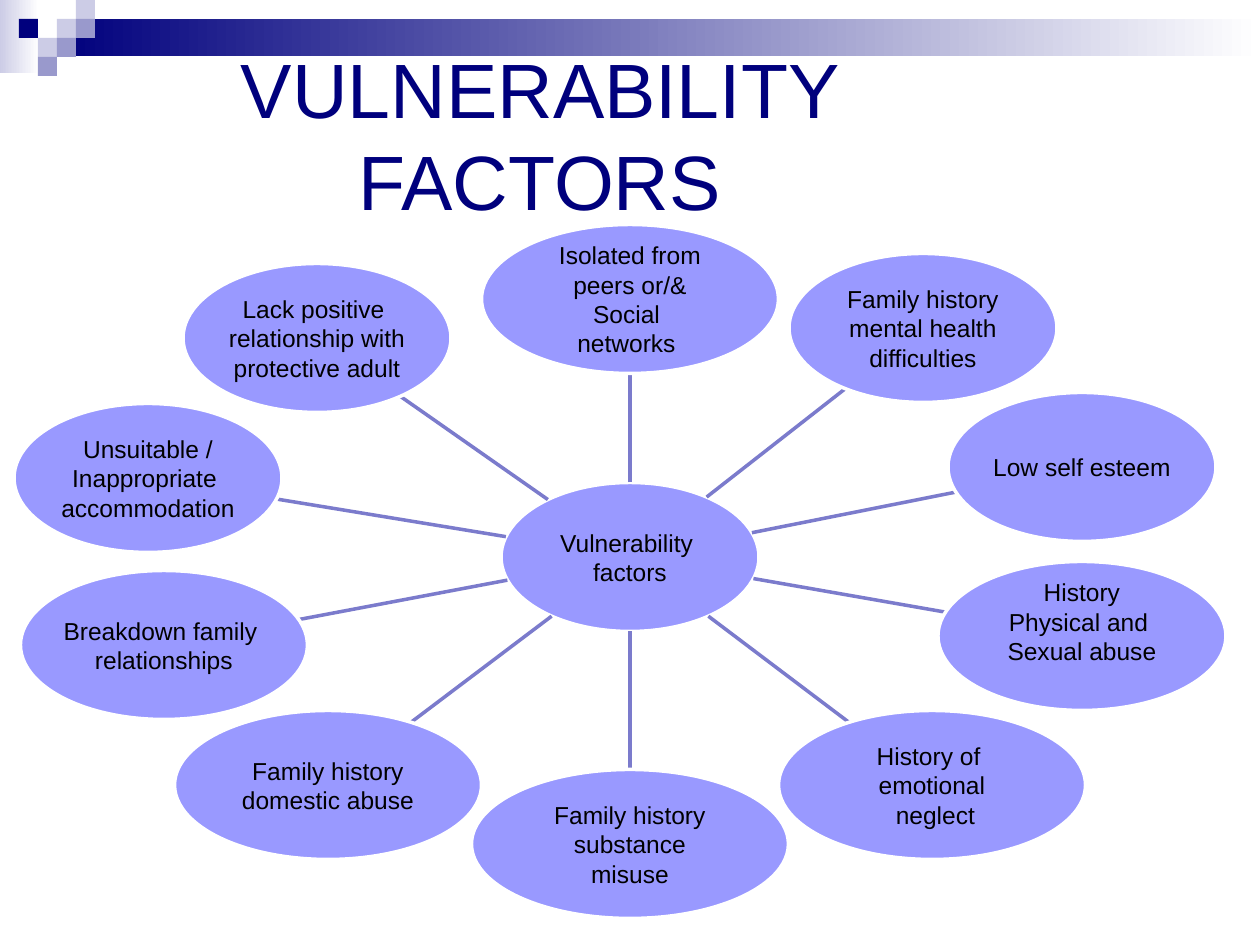
from math import hypot

from pptx import Presentation
from pptx.dml.color import RGBColor
from pptx.enum import shapes as kinds, text as txt
from pptx.oxml.ns import qn
from pptx.util import Emu, Pt
from lxml import etree

PX = 914400 / 126
THEME = {
    "navy": "00007D", "mist": "CCCCE6", "slate": "9999CC", "white": "FFFFFF",
    "oval": "9999FF", "spoke": "7B7BCC", "ink": "000000",
    "font": "Arial", "title": 44, "body": 14, "line": 2,
}


def shade(name):
    return RGBColor.from_string(THEME[name])


def write(frame, lines, size, color):
    """Fill a text frame with centred paragraphs, one run each."""
    frame.word_wrap = True
    frame.vertical_anchor = txt.MSO_ANCHOR.MIDDLE
    for i, line in enumerate(lines):
        para = frame.add_paragraph() if i else frame.paragraphs[0]
        para.alignment = txt.PP_ALIGN.CENTER
        run = para.add_run()
        run.text = line
        run.font.name = THEME["font"]
        run.font.size = Pt(THEME[size])
        run.font.color.rgb = shade(color)


deck = Presentation()
deck.slide_width, deck.slide_height = Emu(round(1260 * PX)), Emu(round(945 * PX))
slide = deck.slides.add_slide(deck.slide_layouts[6])
items = slide.shapes

# Header bands, fading to white
for box, color in [((0, 0, 39, 73), "mist"), ((57, 19, 1203, 37), "navy")]:
    band = items.add_shape(kinds.MSO_SHAPE.RECTANGLE, *[Emu(round(n * PX)) for n in box])
    band.shadow.inherit = False
    band.line.fill.background()
    band.fill.gradient()
    band.fill.gradient_angle = 0
    for stop, tone, place in zip(band.fill.gradient_stops, (color, "white"), (0, 1)):
        stop.color.rgb = shade(tone)
        stop.position = place

# Header tiles: column, row, colour
TILE = 19
tiles = [(3, 1, "mist"), (4, 0, "mist"), (4, 1, "slate"), (2, 2, "mist"),
         (1, 1, "navy"), (3, 2, "slate"), (2, 3, "slate")]
for col, row, color in tiles:
    box = (col * TILE, row * TILE, TILE, TILE)
    tile = items.add_shape(kinds.MSO_SHAPE.RECTANGLE, *[Emu(round(n * PX)) for n in box])
    tile.shadow.inherit = False
    tile.line.fill.background()
    tile.fill.solid()
    tile.fill.fore_color.rgb = shade(color)

title = items.add_textbox(*[Emu(round(n * PX)) for n in (63, 63, 954, 141)])
write(title.text_frame, ["VULNERABILITY FACTORS"], "title", "navy")

# Ovals: centre x, centre y, width, space kept free below the text, lines
HIGH = 149
HUB = (630, 557, 258)
ovals = [
    (*HUB, 1, ["Vulnerability ", "factors"]),
    (630, 299, 297, 1, ["Isolated from peers or/&", "Social ", "networks "]),
    (923, 328, 268, 1, ["Family history", "mental health", "difficulties"]),
    (1082, 467, 268, 1, ["Low self esteem"]),
    (1082, 636, 288, 30, ["History", "Physical and ", "Sexual abuse"]),
    (932, 785, 307, 1, ["History of ", "emotional", " neglect"]),
    (630, 844, 317, 1, ["Family history", "substance", "misuse"]),
    (328, 785, 307, 1, ["Family history", "domestic abuse"]),
    (164, 645, 287, 1, ["Breakdown family ", "relationships"]),
    (148, 478, 268, 1, ["Unsuitable /", "Inappropriate ", "accommodation"]),
    (317, 338, 268, 1, ["Lack positive ", "relationship with", "protective adult"]),
]
for x, y, wide, below, lines in ovals:
    dx, dy = x - HUB[0], y - HUB[1]
    if dx or dy:
        # The spoke runs from rim to rim on the line between both centres
        near = 1 / hypot(2 * dx / HUB[2], 2 * dy / HIGH)
        far = 1 - 1 / hypot(2 * dx / wide, 2 * dy / HIGH)
        ends = [n for t in (near, far) for n in (HUB[0] + t * dx, HUB[1] + t * dy)]
        spoke = items.add_connector(kinds.MSO_CONNECTOR.STRAIGHT,
                                    *[Emu(round(n * PX)) for n in ends])
        spoke.line.color.rgb = shade("spoke")
        spoke.line.width = Pt(THEME["line"])
        etree.SubElement(spoke.element.spPr, qn("a:effectLst"))

    box = (x - wide / 2, y - HIGH / 2, wide, HIGH)
    oval = items.add_shape(kinds.MSO_SHAPE.OVAL, *[Emu(round(n * PX)) for n in box])
    oval.shadow.inherit = False
    oval.fill.solid()
    oval.fill.fore_color.rgb = shade("oval")
    oval.line.color.rgb = shade("white")
    oval.line.width = Pt(THEME["line"])
    frame = oval.text_frame
    frame.margin_left = frame.margin_right = frame.margin_top = Emu(round(PX))
    frame.margin_bottom = Emu(round(below * PX))
    write(frame, lines, "body", "ink")

deck.save("out.pptx")
